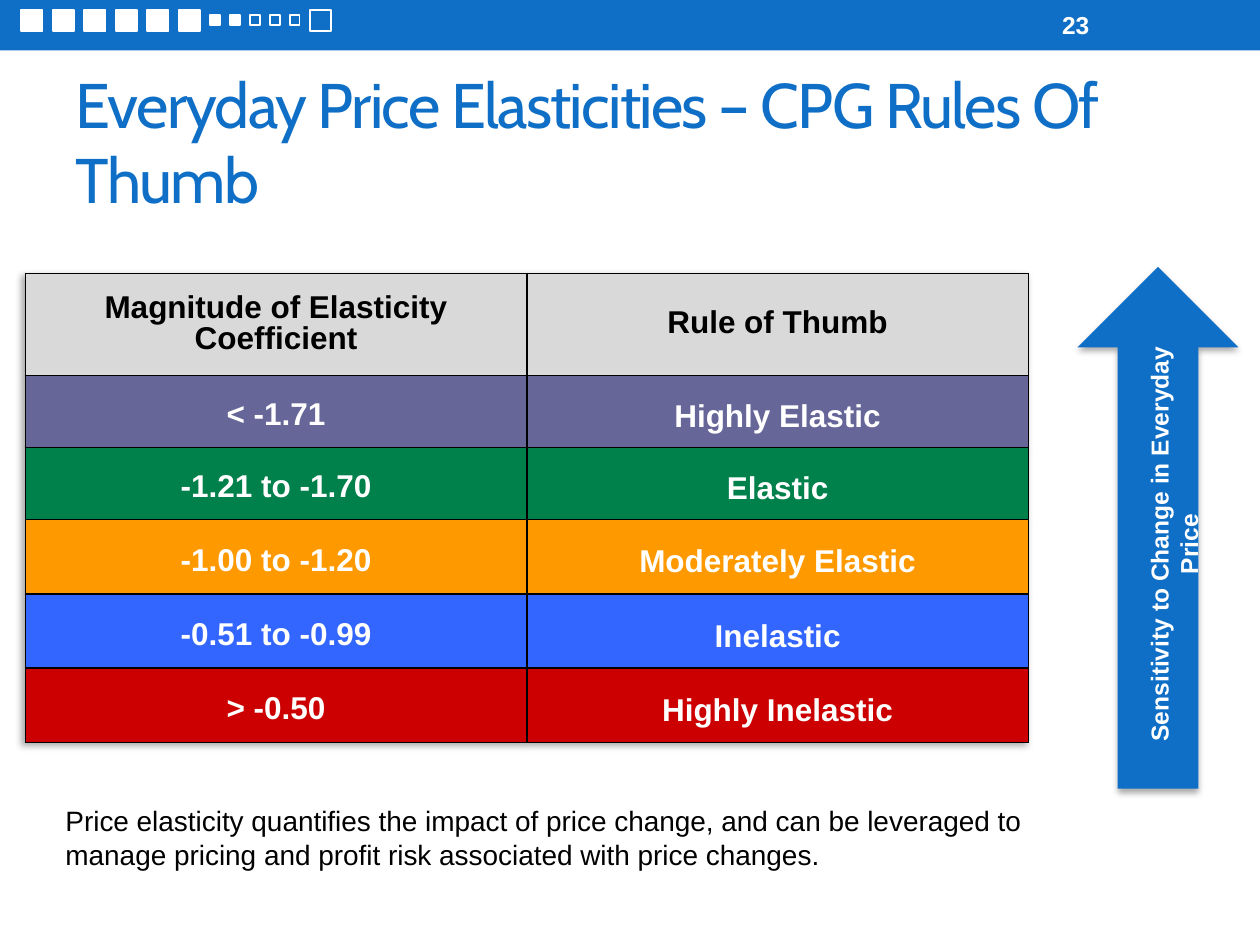
from lxml import etree
from pptx import Presentation
from pptx import util as u
from pptx.dml.color import RGBColor
from pptx.enum import shapes, text
from pptx.oxml import parse_xml

NAMESPACE = "http://schemas.openxmlformats.org/drawingml/2006/main"
BLUE, WHITE, BLACK, GREY = "0F6FC6", "FFFFFF", "000000", "D9D9D9"
CENTER, LEFT = text.PP_ALIGN.CENTER, text.PP_ALIGN.LEFT
MIDDLE, TOP = text.MSO_ANCHOR.MIDDLE, text.MSO_ANCHOR.TOP

RULES = [
    ("< -1.71", "Highly Elastic", "666699"),
    ("-1.21 to -1.70", "Elastic", "00804B"),
    ("-1.00 to -1.20", "Moderately Elastic", "FF9900"),
    ("-0.51 to -0.99", "Inelastic", "3366FF"),
    ("> -0.50", "Highly Inelastic", "CC0000"),
]
ROW_HEIGHTS = [2.06, 1.45, 1.45, 1.5, 1.5, 1.5]


def color(value):
    return RGBColor.from_string(value)


def box(left, top, width, height):
    return [u.Cm(length) for length in (left, top, width, height)]


def shadow_effect(degrees):
    return parse_xml(
        f'<a:effectLst xmlns:a="{NAMESPACE}"><a:outerShdw blurRad="44450" '
        f'dist="27940" dir="{degrees * 60000}" rotWithShape="0"><a:srgbClr '
        f'val="{BLACK}"><a:alpha val="32000"/></a:srgbClr></a:outerShdw></a:effectLst>'
    )


class SlideBuilder:
    """Holds the style and the current slide."""

    font = "Arial"

    def __init__(self, presentation):
        self.slide = presentation.slides.add_slide(presentation.slide_layouts[5])

    def add_text(self, frame, content, size, fill, align=LEFT, spacing=None, **font_values):
        paragraph = frame.paragraphs[0]
        paragraph.alignment = align
        if spacing:
            paragraph.line_spacing = spacing
        run = paragraph.add_run()
        run.text = content
        values = {"name": self.font, "size": u.Pt(size), "bold": False, **font_values}
        for name, value in values.items():
            setattr(run.font, name, value)
        run.font.color.rgb = color(fill)
        return run

    def title(self, content, place):
        title = self.slide.shapes.title
        title.left, title.top, title.width, title.height = box(*place)
        frame = title.text_frame
        frame.auto_size = text.MSO_AUTO_SIZE.NONE
        frame.vertical_anchor = MIDDLE
        run = self.add_text(frame, content, 36, BLUE, name="Cabin")
        run.font._element.set("spc", "-100")

    def label(self, content, place, size, fill, anchor=TOP, rotation=0, **style):
        shape = self.slide.shapes.add_textbox(*box(*place))
        shape.rotation = rotation
        shape.text_frame.word_wrap = True
        shape.text_frame.vertical_anchor = anchor
        self.add_text(shape.text_frame, content, size, fill, **style)

    def shape(self, kind, place, fill, line=None, parent=None):
        shape = (parent or self.slide).shapes.add_shape(kind, *box(*place))
        shape.shadow.inherit = False
        shape.fill.solid()
        shape.fill.fore_color.rgb = color(fill)
        if line:
            shape.line.color.rgb = color(line)
            shape.line.width = u.Pt(1)
        else:
            shape.line.fill.background()
        return shape

    def arrow(self, place):
        arrow = self.shape(shapes.MSO_SHAPE.UP_ARROW, place, BLUE)
        properties = arrow._element.spPr
        properties.replace(properties.find(f"{{{NAMESPACE}}}effectLst"), shadow_effect(90))

    def progress_squares(self):
        group = self.slide.shapes.add_group_shape()
        large = [(0.43 + 0.635 * i, WHITE) for i in range(6)] + [(6.25, BLUE)]
        small = [(4.24 + 0.4 * i, WHITE if i < 2 else BLUE) for i in range(5)]
        for squares, top, side in ((large, 0.2, 0.43), (small, 0.3, 0.2)):
            for left, fill in squares:
                self.shape(shapes.MSO_SHAPE.RECTANGLE, (left, top, side, side),
                           fill, WHITE, group)

    def cell(self, cell, content, fill, ink, spacing):
        cell.fill.solid()
        cell.fill.fore_color.rgb = color(fill)
        cell.vertical_anchor = MIDDLE
        self.add_text(cell.text_frame, content, 18, ink, CENTER, spacing, bold=True)
        properties = cell._tc.get_or_add_tcPr()
        for index, side in enumerate("LRTB"):
            line = etree.Element(f"{{{NAMESPACE}}}ln{side}", w="12700")
            solid = etree.SubElement(line, f"{{{NAMESPACE}}}solidFill")
            etree.SubElement(solid, f"{{{NAMESPACE}}}srgbClr", val=BLACK)
            properties.insert(index, line)

    def table(self, place, header, rules, heights):
        frame = self.slide.shapes.add_table(len(heights), len(header), *box(*place))
        table = frame.table
        table._tbl.tblPr.insert(0, shadow_effect(135))
        for row, height in zip(table.rows, heights):
            row.height = u.Cm(height)
        for column, content in enumerate(header):
            self.cell(table.cell(0, column), content, GREY, BLACK, 0.9)
        for row, (coefficient, rule, fill) in enumerate(rules, 1):
            self.cell(table.cell(row, 0), coefficient, fill, WHITE, 1.2)
            self.cell(table.cell(row, 1), rule, fill, WHITE, 1.3)


def main():
    presentation = Presentation()
    presentation.slide_width, presentation.slide_height = u.Cm(25.4), u.Cm(19.05)
    builder = SlideBuilder(presentation)
    builder.shape(shapes.MSO_SHAPE.RECTANGLE, (0, 0, 25.4, 1.02), BLUE)
    builder.title("Everyday Price Elasticities – CPG Rules Of Thumb",
                  (1.27, 1.47, 22.86, 2.74))
    builder.label("23", (21.16, 0.05, 2.97, 0.91), 14, WHITE, MIDDLE, bold=True)
    builder.table((0.51, 5.51, 20.22, sum(ROW_HEIGHTS)),
                  ("Magnitude of Elasticity Coefficient", "Rule of Thumb"),
                  RULES, ROW_HEIGHTS)
    builder.arrow((21.72, 5.38, 3.25, 10.52))
    builder.label("Sensitivity to Change in Everyday Price",
                  (18.47, 10.54, 9.8, 0.86), 14, WHITE,
                  rotation=270, align=CENTER, bold=True)
    builder.label("Price elasticity quantifies the impact of price change, and can be "
                  "leveraged to manage pricing and profit risk associated with price "
                  "changes.", (1.07, 16.08, 20.32, 1.63), 16, BLACK)
    builder.progress_squares()
    presentation.save("out.pptx")


if __name__ == "__main__":
    main()
